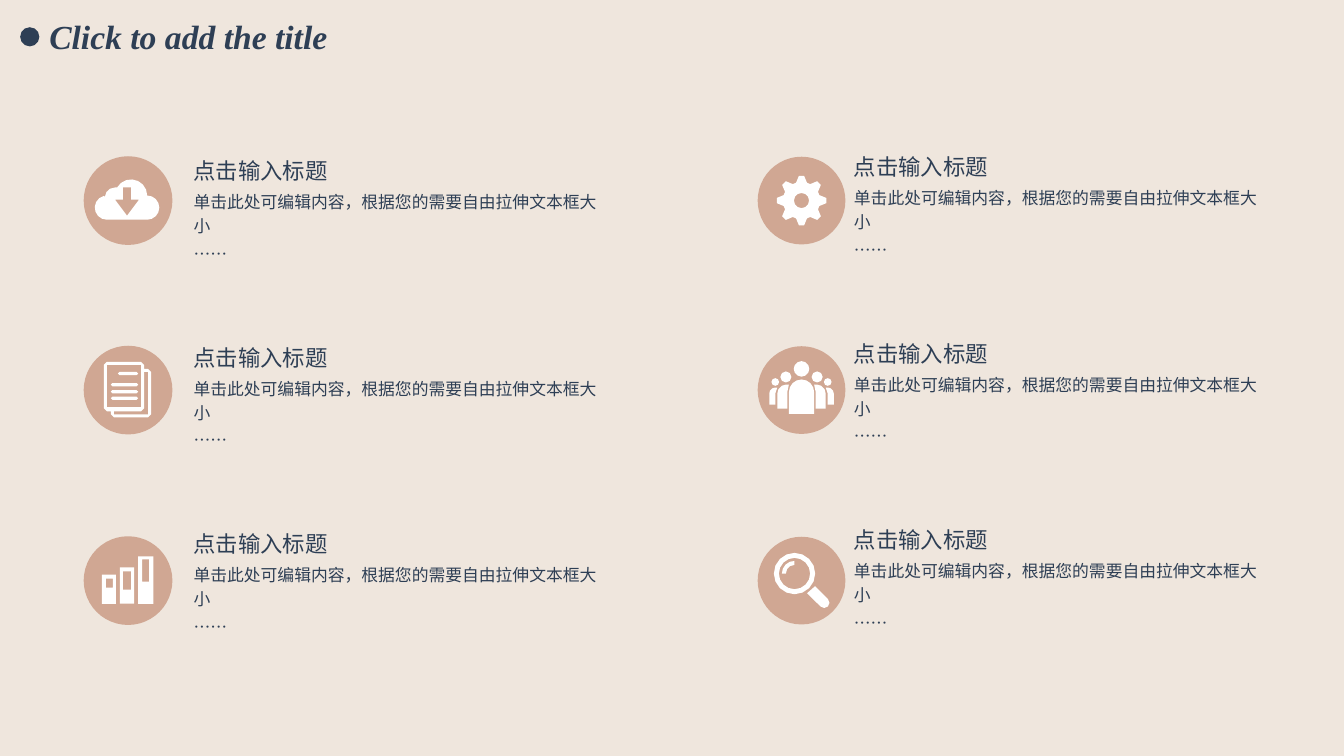
from dataclasses import dataclass
from math import cos, radians, sin

from lxml import etree
from pptx import Presentation
from pptx.dml.color import RGBColor
from pptx.enum.shapes import MSO_SHAPE
from pptx.oxml.ns import qn
from pptx.util import Inches, Pt

OVAL = MSO_SHAPE.OVAL


@dataclass(frozen=True)
class Theme:
    paper: str = "EFE6DD"
    ink: str = "2E3F55"
    badge: str = "D0A793"
    icon: str = "FFFFFF"
    title_font: str = "Times New Roman"
    body_font: str = "Noto Sans CJK SC"
    title_size: int = 24
    heading_size: int = 16
    body_size: int = 12


THEME = Theme()

# Content: every entry shows the same heading and text
TITLE = "Click to add the title"
ENTRY = [
    ("点击输入标题", THEME.heading_size),
    ("单击此处可编辑内容，根据您的需要自由拉伸文本框大小", THEME.body_size),
    ("……", THEME.body_size),
]
ICON_GRID = [("cloud", "gear"), ("document", "people"), ("bars", "magnifier")]

# Layout in inches: one record per column, one badge centre per row
COLUMNS = [
    {"badge_x": 1.27, "badge_size": 0.88, "text_x": 1.92, "text_y": 1.51},
    {"badge_x": 7.95, "badge_size": 0.87, "text_x": 8.47, "text_y": 1.47},
]
BADGE_ROWS = [1.99, 3.87, 5.76]
TEXT_PITCH, TEXT_WIDTH, TEXT_HEIGHT = 1.85, 4.06, 1.11
ICON_UNIT = Inches(0.01)


# Outlines, in icon units from the badge centre, y downwards
def arc(x, y, radius, start, end):
    step = 90 if radius <= 3 else 45 if radius < 6 else 30 if radius < 12 else 22.5
    steps = max(1, round(abs(end - start) / step))
    angles = [radians(start + (end - start) * i / steps) for i in range(steps + 1)]
    return [(x + radius * cos(a), y + radius * sin(a)) for a in angles]


def circle(x, y, radius):
    return arc(x, y, radius, 0, 360)[:-1]


def box_outline(left, top, right, bottom):
    return [(left, top), (right, top), (right, bottom), (left, bottom)]


def rounded(left, top, right, bottom, radius):
    return (arc(right - radius, top + radius, radius, -90, 0)
            + arc(right - radius, bottom - radius, radius, 0, 90)
            + arc(left + radius, bottom - radius, radius, 90, 180)
            + arc(left + radius, top + radius, radius, 180, 270))


def mirrored(outline):
    return [(-x, y) for x, y in outline]


def gear_rim(teeth=8):
    corners = [(-17, 18.5), (-6, 24.7), (6, 24.7), (17, 18.5)]
    turns = [(radians(360 / teeth * tooth + angle), radius)
             for tooth in range(teeth) for angle, radius in corners]
    return [(radius * cos(a), radius * sin(a)) for a, radius in turns]


# Icons: each is a list of parts, each part a list of outlines (inner ones cut holes)
CLOUD = (arc(3, -5, 16, 0, -150) + arc(-13, -3, 10, -90, -175)
         + arc(-21, 7, 12, -105, -270) + arc(19, 7, 12, 90, -90))
DOWN_ARROW = [(-1, 15), (-13, -1), (-5, -1), (-5, -13), (3, -13), (3, -1), (11, -1)]
FRONT_PAGE = [rounded(-24, -28, 16, 21, 3), box_outline(-21, -25, 13, 17)]
BACK_PAGE = ([(16, -21)] + arc(20, -18, 3, -90, 0) + arc(20, 24, 3, 0, 90)
             + arc(-14, 24, 3, 90, 180)
             + [(-17, 21), (-14, 21), (-14, 24), (20, 24), (20, -18), (16, -18)])
PAGE_LINES = [(-10, -18), (-17, -7), (-17, 0), (-17, 6.5)]
BARS = [((-26, -6, -12, 23), (-22, -2, -15, 7)),
        ((-8, -13, 6, 23), (-5, -9, 3, 9)),
        ((10, -24, 25, 23), (14, -21, 21, 1))]
LEADER = [circle(0, -21, 7.7), arc(0, 2, 12.5, -180, 0) + [(12.5, 23.5), (-12.5, 23.5)]]
FOLLOWERS = [
    circle(15.5, -13, 5.5),
    arc(15, 3.5, 9, -90, 0) + [(24, 18.5), (14, 18.5), (14, 1.5), (12.5, -5.5)],
    circle(26, -8, 3.8),
    arc(26, 3.5, 6, -90, 0) + [(32, 14.5), (26, 14.5), (26, 3.5), (24, -2.5)],
]
ICONS = {
    "cloud": [[CLOUD, DOWN_ARROW]],
    "document": [FRONT_PAGE + [BACK_PAGE]]
    + [[rounded(left, top, 10, top + 3.2, 1.5)] for left, top in PAGE_LINES],
    "bars": [[box_outline(*bar), box_outline(*window)] for bar, window in BARS],
    "gear": [[gear_rim(), circle(0, 0, 7.5)]],
    "people": [LEADER + FOLLOWERS + [mirrored(part) for part in FOLLOWERS]],
    "magnifier": [
        [[(13.5, 5.5), (5.5, 12.5)] + arc(22.5, 22, 5.2, 135, -45)],
        [circle(-7, -7, 20.5), circle(-7, -7, 15.5)],
        [arc(-7, -7, 12.5, 180, 270) + arc(-7, -7, 8.5, 270, 180)],
    ],
}


# Drawing helpers
def paint(shape, color):
    shape.shadow.inherit = False
    shape.fill.solid()
    shape.fill.fore_color.rgb = RGBColor.from_string(color)
    shape.line.fill.background()


def add_disc(page, x, y, size, color):
    corner = Inches(x - size / 2), Inches(y - size / 2)
    paint(page.shapes.add_shape(OVAL, *corner, Inches(size), Inches(size)), color)


def add_icon(page, parts, x, y):
    for outlines in parts:
        builder = None
        for outline in outlines:
            points = [(Inches(x) + px * ICON_UNIT, Inches(y) + py * ICON_UNIT)
                      for px, py in outline]
            if builder is None:
                builder = page.shapes.build_freeform(*points[0])
            else:
                builder.move_to(*points[0])
            builder.add_line_segments(points[1:], close=True)
        paint(builder.convert_to_shape(), THEME.icon)


def style(paragraph, font_name, size):
    font = paragraph.font
    font.name, font.size = font_name, Pt(size)
    font.color.rgb = RGBColor.from_string(THEME.ink)
    etree.SubElement(font._element, qn("a:ea"), typeface=font_name)


def add_text(page, left, top, width, height):
    frame = page.shapes.add_textbox(*map(Inches, (left, top, width, height))).text_frame
    frame.word_wrap = True
    return frame


def add_entry(page, left, top):
    frame = add_text(page, left, top, TEXT_WIDTH, TEXT_HEIGHT)
    frame.margin_left = frame.margin_right = frame.margin_top = frame.margin_bottom = 0
    for index, (text, size) in enumerate(ENTRY):
        paragraph = frame.add_paragraph() if index else frame.paragraphs[0]
        paragraph.text = text
        paragraph.line_spacing = 1.2
        paragraph.space_before = Pt(size * 0.2)
        style(paragraph, THEME.body_font, size)


def main():
    deck = Presentation()
    deck.slide_width, deck.slide_height = Inches(13.33), Inches(7.5)
    page = deck.slides.add_slide(deck.slide_layouts[6])
    page.background.fill.solid()
    page.background.fill.fore_color.rgb = RGBColor.from_string(THEME.paper)

    # Title with its dot
    heading = add_text(page, 0.39, 0.11, 3.15, 0.5).paragraphs[0]
    heading.text = TITLE
    style(heading, THEME.title_font, THEME.title_size)
    heading.font.bold = heading.font.italic = True
    add_disc(page, 0.295, 0.365, 0.19, THEME.ink)

    # Grid of badges and entries
    for row, (badge_y, names) in enumerate(zip(BADGE_ROWS, ICON_GRID)):
        for column, name in zip(COLUMNS, names):
            add_disc(page, column["badge_x"], badge_y, column["badge_size"], THEME.badge)
            add_icon(page, ICONS[name], column["badge_x"], badge_y)
            add_entry(page, column["text_x"], column["text_y"] + row * TEXT_PITCH)

    deck.save("out.pptx")


if __name__ == "__main__":
    main()
